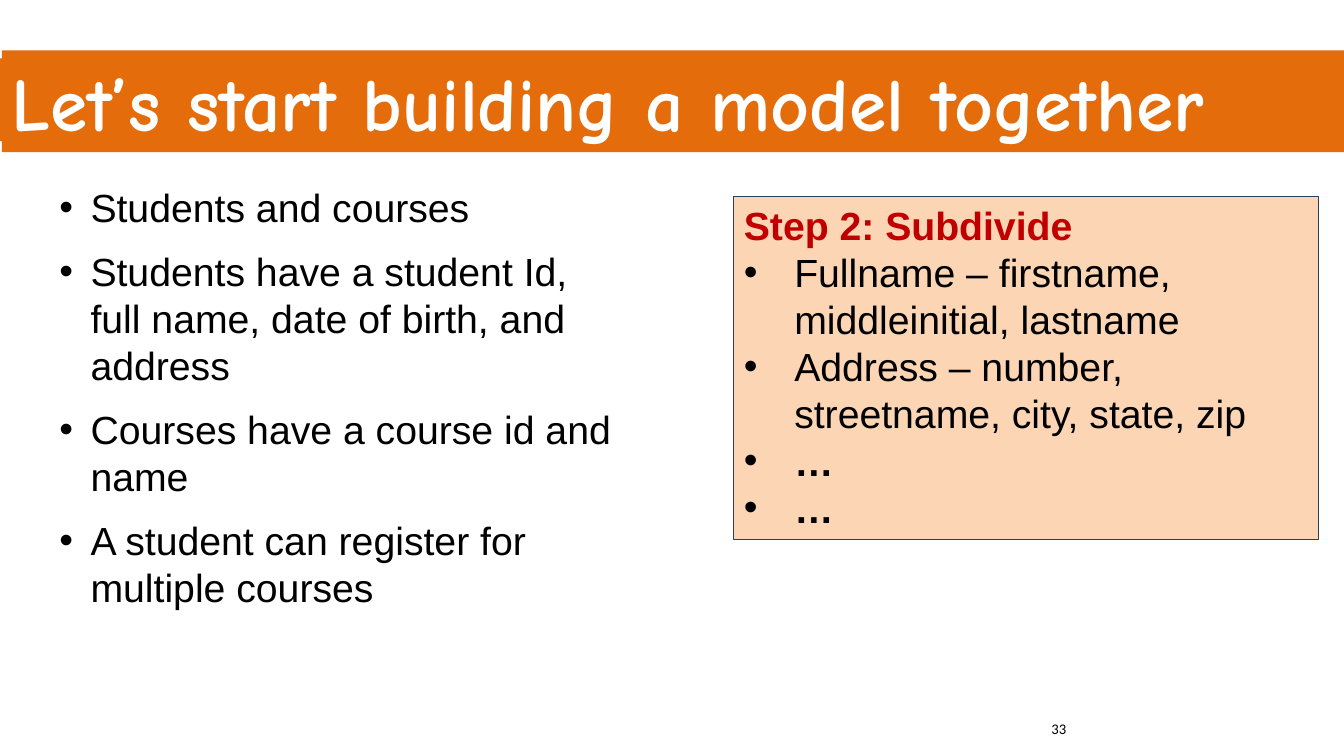
from lxml import etree
from pptx import Presentation
from pptx import util as u
from pptx.dml.color import RGBColor
from pptx.enum import shapes, text
from pptx.oxml.ns import qn

ORANGE = RGBColor(0xE4, 0x6C, 0x0A)
PEACH = RGBColor(0xFC, 0xD5, 0xB5)
NAVY = RGBColor(0x25, 0x40, 0x61)
RED = RGBColor(0xC0, 0x00, 0x00)
BLACK = RGBColor(0, 0, 0)
WHITE = RGBColor(255, 255, 255)

# Content
WIDTH, HEIGHT = 13.33, 7.5
TITLE = "Let’s start building a model together"
PAGE_NUMBER = "33"
REQUIREMENTS = [
    "Students and courses",
    "Students have a student Id, full name, date of birth, and address",
    "Courses have a course id and name",
    "A student can register for multiple courses",
]
STEP_HEADING = "Step 2: Subdivide"
STEP_ITEMS = [
    ("Fullname – firstname, middleinitial, lastname", False),
    ("Address – number, streetname, city, state, zip", False),
    ("…", True),
    ("…", True),
]

# Formats
TITLE_FORMAT = {"name": "Comic Neue", "size": u.Pt(54), "bold": True}
BODY_FORMAT = {"name": "Arial", "size": u.Pt(28), "bold": False}
NUMBER_FORMAT = {"name": "Calibri", "size": u.Pt(10.5), "bold": False}

# Layout: two columns of equal width
COLUMN_WIDTH = 5.8
LEFT_COLUMN, RIGHT_COLUMN = 0.49, 7.28
NUMBER_WIDTH = 3


def add_box(page, at, fill=None, line=None):
    lengths = [u.Inches(length) for length in at]
    if fill is None:
        box = page.shapes.add_textbox(*lengths)
    else:
        box = page.shapes.add_shape(shapes.MSO_SHAPE.RECTANGLE, *lengths)
        box.shadow.inherit = False
        box.fill.solid()
        box.fill.fore_color.rgb = fill
        if line is None:
            box.line.fill.background()
        else:
            box.line.color.rgb = line
            box.line.width = u.Pt(0.75)
    box.text_frame.word_wrap = True
    box.text_frame.vertical_anchor = text.MSO_ANCHOR.TOP
    return box


def add_para(box, words, style, color, indent=0, gap=0):
    frame = box.text_frame
    first = not frame.text
    para = frame.paragraphs[0] if first else frame.add_paragraph()
    para.alignment = text.PP_ALIGN.LEFT
    para.space_before = u.Pt(0 if first else gap)
    para.space_after = u.Pt(gap)
    if indent:
        props = para._p.get_or_add_pPr()
        props.set("marL", str(u.Inches(indent)))
        props.set("indent", str(-u.Inches(indent)))
        etree.SubElement(props, qn("a:buFont"), typeface="Arial")
        etree.SubElement(props, qn("a:buChar"), char="•")
    span = para.add_run()
    span.text = words
    for key, value in style.items():
        setattr(span.font, key, value)
    span.font.color.rgb = color


def main():
    deck = Presentation()
    deck.slide_width, deck.slide_height = u.Inches(WIDTH), u.Inches(HEIGHT)
    page = deck.slides.add_slide(deck.slide_layouts[6])

    # Title band
    add_box(page, (0, 0.58, WIDTH, 0.82), ORANGE)
    band = add_box(page, (0.02, 0.5, 13.36, 1.01), ORANGE)
    band.text_frame.vertical_anchor = text.MSO_ANCHOR.MIDDLE
    add_para(band, TITLE, TITLE_FORMAT, WHITE)

    # Page number
    number = add_box(page, (WIDTH - NUMBER_WIDTH, 7.09, NUMBER_WIDTH, 0.4))
    add_para(number, PAGE_NUMBER, NUMBER_FORMAT, BLACK)

    # Step panel
    panel = add_box(page, (RIGHT_COLUMN, 1.95, COLUMN_WIDTH, 3.4), PEACH, NAVY)
    add_para(panel, STEP_HEADING, BODY_FORMAT | {"bold": True}, RED)
    for words, bold in STEP_ITEMS:
        add_para(panel, words, BODY_FORMAT | {"bold": bold}, BLACK, indent=0.5)

    # Requirements list
    listing = add_box(page, (LEFT_COLUMN, 1.77, COLUMN_WIDTH, 4.38))
    for words in REQUIREMENTS:
        add_para(listing, words, BODY_FORMAT, BLACK, indent=0.31, gap=6)

    deck.save("out.pptx")


if __name__ == "__main__":
    main()
